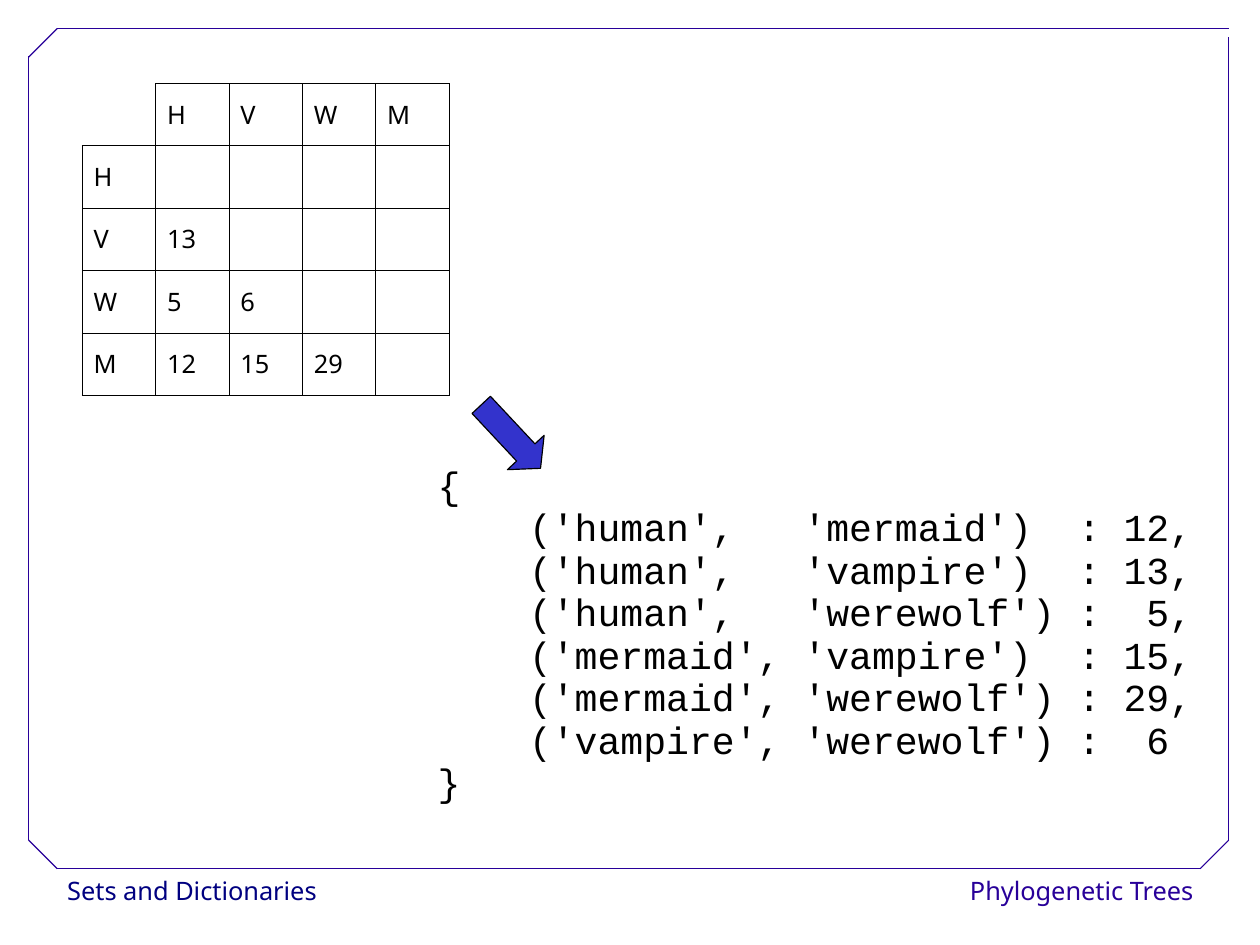
"""Build the slide that turns a distance table into a dictionary of pairs."""
from lxml.etree import SubElement
from pptx import Presentation
from pptx.dml.color import RGBColor
from pptx.enum.shapes import MSO_CONNECTOR, MSO_SHAPE
from pptx.enum.text import MSO_ANCHOR, PP_ALIGN
from pptx.oxml import parse_xml
from pptx.oxml.ns import nsdecls, qn
from pptx.util import Inches, Pt

BLACK = RGBColor(0x00, 0x00, 0x00)
NAVY = RGBColor(0x00, 0x00, 0x80)
VIOLET = RGBColor(0x28, 0x00, 0x99)
BLUE = RGBColor(0x33, 0x33, 0xCC)

LABEL = {"name": "Noto Sans", "size": Pt(16)}
CODE = {"name": "Courier New", "size": Pt(24)}


def format_text(paragraph, look, color, spacing):
    for key, value in look.items():
        setattr(paragraph.font, key, value)
    paragraph.font.color.rgb = color
    paragraph.line_spacing = spacing


def add_text(left, top, width, height, lines, look, color, spacing, align=PP_ALIGN.LEFT):
    frame = slide.shapes.add_textbox(
        Inches(left), Inches(top), Inches(width), Inches(height)).text_frame
    frame.word_wrap = True
    frame.text = "\n".join(lines)
    for paragraph in frame.paragraphs:
        paragraph.alignment = align
        format_text(paragraph, look, color, spacing)


deck = Presentation()
deck.slide_width = Inches(28 / 2.54)
deck.slide_height = Inches(21 / 2.54)
slide = deck.slides.add_slide(deck.slide_layouts[6])

add_text(0.49, 7.6, 2.5, 0.4, ["Sets and Dictionaries"], LABEL, NAVY, 1.02)
add_text(8.34, 7.6, 2.2, 0.4, ["Phylogenetic Trees"], LABEL, VIOLET, 1.02, PP_ALIGN.RIGHT)

frame_edges = [
    (0.5, 7.6, 10.5, 7.6),
    (0.25, 7.35, 0.25, 0.49),
    (0.5, 0.25, 10.75, 0.25),
    (10.75, 7.35, 10.75, 0.32),
    (0.25, 0.5, 0.5, 0.25),
    (10.5, 7.6, 10.75, 7.35),
    (0.25, 7.35, 0.5, 7.6),
]
for ends in frame_edges:
    edge = slide.shapes.add_connector(MSO_CONNECTOR.STRAIGHT, *map(Inches, ends))
    edge.line.color.rgb = VIOLET
    edge.line.width = Pt(0.75)
    SubElement(edge._element.spPr, qn("a:effectLst"))

distances = [
    ["", "H", "V", "W", "M"],
    ["H", "", "", "", ""],
    ["V", "13", "", "", ""],
    ["W", "5", "6", "", ""],
    ["M", "12", "15", "29", ""],
]
matrix = slide.shapes.add_table(
    5, 5, Inches(0.72), Inches(0.73), Inches(3.21), Inches(2.73)).table
matrix.first_row = matrix.horz_banding = False
for row, values in enumerate(distances):
    for column, value in enumerate(values):
        cell = matrix.cell(row, column)
        cell.text = value
        cell.vertical_anchor = MSO_ANCHOR.MIDDLE
        format_text(cell.text_frame.paragraphs[0], LABEL, BLACK, 0.93)
        sides = "RB" if row == column == 0 else "LRTB"
        for side in sides:
            cell._tc.get_or_add_tcPr().append(parse_xml(
                f'<a:ln{side} {nsdecls("a")} w="{Pt(0.45)}"><a:solidFill>'
                f'<a:srgbClr val="{BLACK}"/></a:solidFill></a:ln{side}>'))
        cell.fill.background()

pair_distances = [
    "{",
    "    ('human',   'mermaid')  : 12,",
    "    ('human',   'vampire')  : 13,",
    "    ('human',   'werewolf') :  5,",
    "    ('mermaid', 'vampire')  : 15,",
    "    ('mermaid', 'werewolf') : 29,",
    "    ('vampire', 'werewolf') :  6",
    "}",
]
add_text(3.73, 4.02, 7.2, 3.08, pair_distances, CODE, BLACK, 0.93)

arrow = slide.shapes.add_shape(
    MSO_SHAPE.RIGHT_ARROW, Inches(4.09), Inches(3.6), Inches(0.76), Inches(0.44))
arrow.rotation = 46.9
arrow.adjustments[1] = 0.43
arrow.shadow.inherit = False
arrow.fill.solid()
arrow.fill.fore_color.rgb = BLUE
arrow.line.color.rgb = BLACK
arrow.line.width = Pt(0.75)

deck.save("out.pptx")
